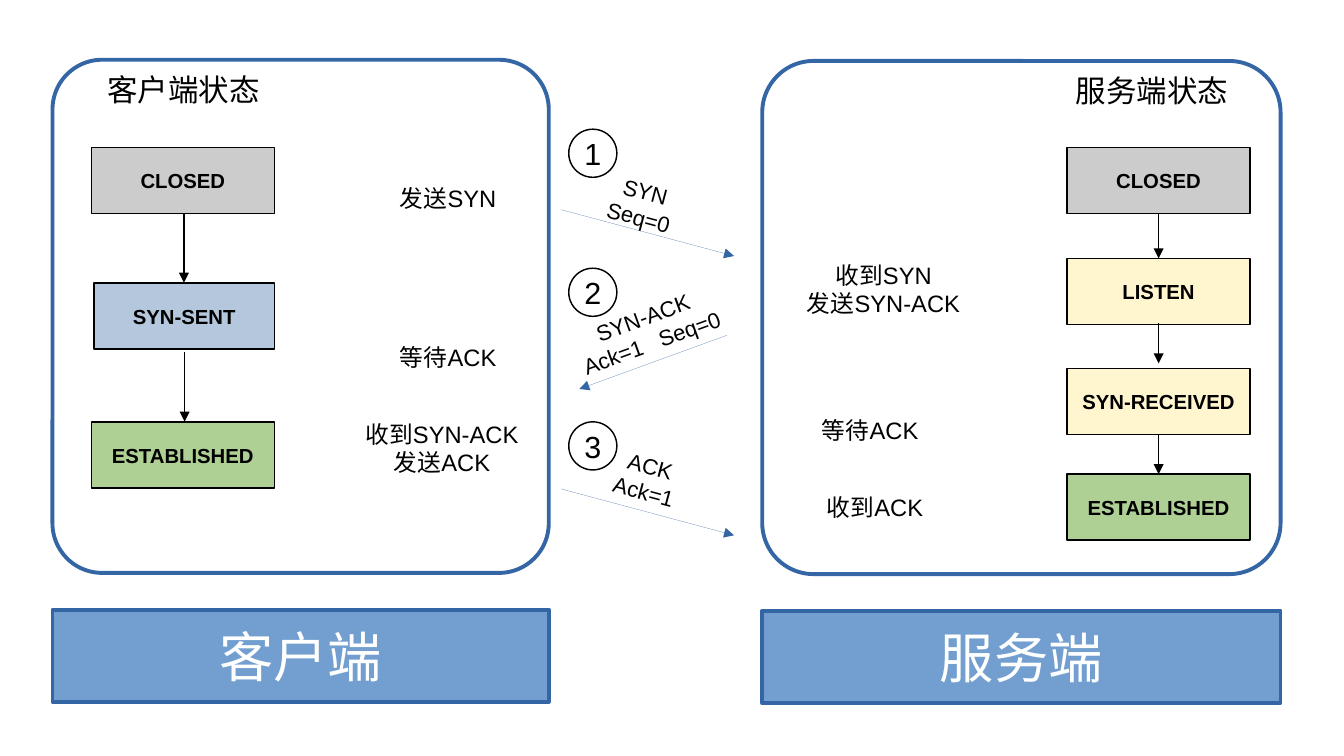
import pptx
import pptx.dml.color
import pptx.enum.shapes
import pptx.enum.text
import pptx.oxml.ns
import pptx.util
from dataclasses import dataclass
from lxml import etree

Pt = pptx.util.Pt
SHAPES = pptx.enum.shapes.MSO_SHAPE
ANCHOR = pptx.enum.text.MSO_ANCHOR
RGB = pptx.dml.color.RGBColor.from_string
qn = pptx.oxml.ns.qn


@dataclass(frozen=True)
class Theme:
    font: str = "Arial"
    ink: str = "000000"
    white: str = "FFFFFF"
    border: str = "3465A4"
    banner: str = "729FCF"
    closed: str = "CCCCCC"
    sent: str = "B4C7DC"
    waiting: str = "FFF5CE"
    established: str = "AFD095"
    banner_size: int = 32
    heading_size: int = 18
    action_size: int = 14
    message_size: int = 13
    state_size: int = 12
    thick: float = 2.3
    thin: float = 0.85
    hairline: float = 0.01


theme = Theme()
deck = pptx.Presentation()
deck.slide_width, deck.slide_height = Pt(793.44), Pt(446.4)
slide = deck.slides.add_slide(deck.slide_layouts[6])


def add_block(box, text="", size=18, color=theme.ink, bold=False,
              kind=None, fill=None, line=None, width=theme.thin):
    """Add a centred text box, or a filled and outlined shape if kind is given."""
    box = [Pt(length) for length in box]
    if kind is None:
        block = slide.shapes.add_textbox(*box)
    else:
        block = slide.shapes.add_shape(kind, *box)
        block.shadow.inherit = False
        block.fill.solid()
        block.fill.fore_color.rgb = RGB(fill)
        block.line.color.rgb = RGB(line)
        block.line.width = Pt(width)
    frame = block.text_frame
    frame.text = text
    frame.word_wrap = False
    frame.vertical_anchor = ANCHOR.TOP if kind is None else ANCHOR.MIDDLE
    for paragraph in frame.paragraphs:
        paragraph.alignment = pptx.enum.text.PP_ALIGN.CENTER
        for run in paragraph.runs:
            run.font.name = theme.font
            run.font.size = Pt(size)
            run.font.bold = bold
            run.font.color.rgb = RGB(color)
    return block


def add_arrow(start, end, color, width):
    arrow = slide.shapes.add_connector(
        pptx.enum.shapes.MSO_CONNECTOR.STRAIGHT,
        *[Pt(length) for length in (*start, *end)])
    arrow.line.color.rgb = RGB(color)
    arrow.line.width = Pt(width)
    properties = arrow._element.spPr
    etree.SubElement(properties.get_or_add_ln(), qn("a:tailEnd"), type="triangle")
    etree.SubElement(properties, qn("a:effectLst"))


# Panels with their headings and banners
for name, left, top, width, heading_left in (
    ("客户端", 31, 35.3, 293, 56.2),
    ("服务端", 450, 36, 306, 627.8),
):
    panel = add_block((left, top, width, 303), kind=SHAPES.ROUNDED_RECTANGLE,
                      fill=theme.white, line=theme.border, width=theme.thick)
    panel.adjustments[0] = 0.1
    add_block((left, top + 324.7, width, 54.4), name, theme.banner_size, theme.white,
              kind=SHAPES.RECTANGLE, fill=theme.banner, line=theme.border,
              width=theme.thick)
    add_block((heading_left, top + 2.9, 104.4, 33), name + "状态", theme.heading_size)

# States of each side
for name, left, top, width, fill in (
    ("CLOSED", 54, 87.2, 108, theme.closed),
    ("SYN-SENT", 55.5, 167.2, 106.5, theme.sent),
    ("ESTABLISHED", 54, 249.2, 108, theme.established),
    ("CLOSED", 630, 87.2, 108, theme.closed),
    ("LISTEN", 630, 152.6, 108, theme.waiting),
    ("SYN-RECEIVED", 630, 217.6, 108, theme.waiting),
    ("ESTABLISHED", 630, 280, 108, theme.established),
):
    add_block((left, top, width, 39), name, theme.state_size, bold=True,
              kind=SHAPES.FLOWCHART_PROCESS, fill=fill, line=theme.ink)

# Transitions between states
for x, top, bottom in (
    (108.6, 126, 167),
    (109, 208, 249),
    (684, 126, 152.6),
    (684, 191, 214.6),
    (684, 256.4, 280),
):
    add_arrow((x, top), (x, bottom), theme.ink, theme.thin)

# Messages between the sides
for number, circle_top, text, box, angle, start, end in (
    (1, 76.3, "SYN\nSeq=0", (349.4, 101.5, 60, 36), 15, (331.2, 123.8), (433.4, 151.2)),
    (2, 158.4, "SYN-ACK\nAck=1", (326.7, 175.7, 110, 36), -20, (429.1, 198), (342, 229.7)),
    (3, 249.1, "ACK\nAck=1", (352.3, 263.5, 60, 36), 15, (331.2, 288.7), (433.4, 316.1)),
):
    message = add_block(box, text, theme.message_size)
    message.rotation = angle
    if number == 2:
        fields = message.text_frame.paragraphs[1]
        for part in (" ", "Seq=0"):
            run = fields.add_run()
            run.text = part
            run.font.name = theme.font
            run.font.size = Pt(theme.message_size)
            run.font.color.rgb = RGB(theme.ink)
        # Widen the single space between the two fields
        fields.runs[1].font._element.set("spc", "720")
    add_arrow(start, end, theme.border, theme.hairline)
    add_block((335.8, circle_top, 28.4, 28.4), str(number), theme.heading_size,
              kind=SHAPES.OVAL, fill=theme.white, line=theme.ink)

# Actions beside the states
for text, left, top, width in (
    ("发送SYN", 226.8, 105.1, 75.6),
    ("等待ACK", 226.8, 198.7, 75.6),
    ("收到SYN-ACK\n发送ACK", 206.6, 244.1, 108.7),
    ("收到SYN\n发送SYN-ACK", 467.3, 150.5, 108.7),
    ("等待ACK", 475.9, 241.9, 75.6),
    ("收到ACK", 478.8, 287.3, 75.6),
):
    height = 48.2 if "\n" in text else 27.4
    add_block((left, top, width, height), text, theme.action_size)

deck.save("out.pptx")
